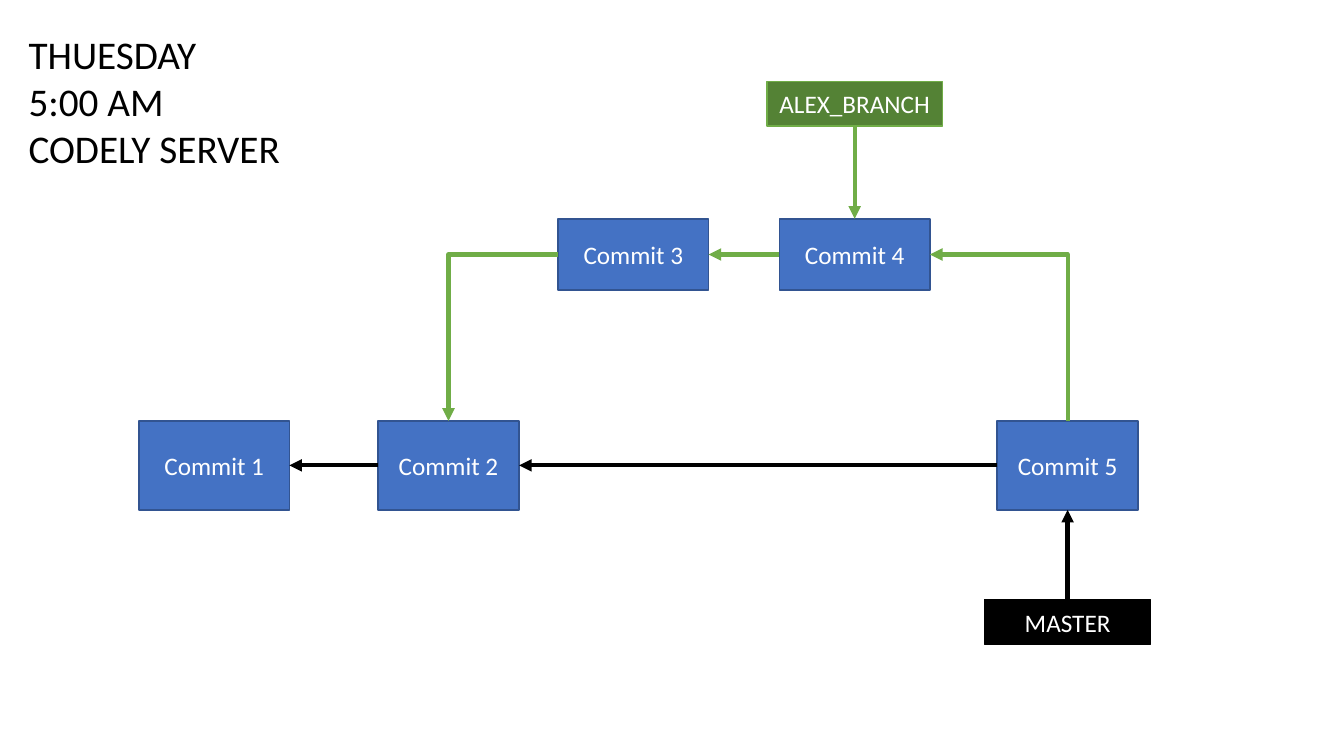
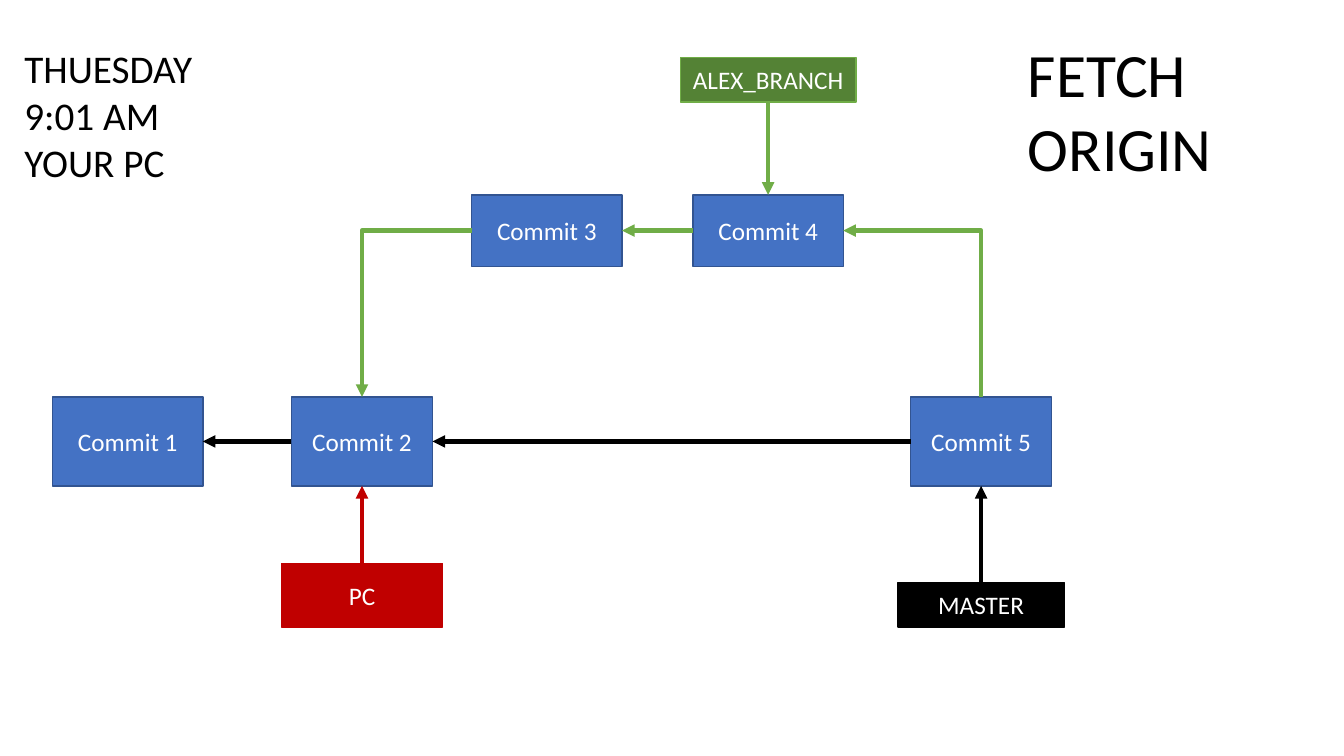
from dataclasses import dataclass
from lxml.etree import SubElement
from pptx import Presentation
from pptx.dml.color import RGBColor as Rgb
from pptx.enum.shapes import MSO_CONNECTOR as Link, MSO_SHAPE as Form
from pptx.enum.text import MSO_ANCHOR as Anchor, MSO_AUTO_SIZE as Fit, PP_ALIGN as Align
from pptx.oxml.ns import qn
from pptx.util import Emu, Pt

COLS, ROWS, CELL = 160, 90, 76200
TOP, LEFT, BOTTOM, RIGHT = range(4)


@dataclass(frozen=True)
class Theme:
    font: str = "Calibri"
    ink: str = "000000"
    paper: str = "FFFFFF"
    blue: str = "4472C4"
    navy: str = "325491"
    green: str = "70AD47"
    moss: str = "548235"
    red: str = "C00000"
    label: int = 18
    head: int = 28
    note: int = 44
    edge: int = 1
    arrow: int = 3


def cells(*sizes):
    return [Emu(round(size * CELL)) for size in sizes]


class Deck:
    def __init__(self, theme):
        self.theme = theme
        self.show = Presentation()
        self.show.slide_width, self.show.slide_height = cells(COLS, ROWS)
        self.slide = None
        self.shift = (0, 0)

    def page(self, shift=(0, 0)):
        self.slide = self.show.slides.add_slide(self.show.slide_layouts[5])
        self.shift = shift

    def label(self, shape, text, size, color, align, anchor):
        frame = shape.text_frame
        frame.text = text
        frame.word_wrap = True
        frame.auto_size = Fit.NONE
        frame.vertical_anchor = anchor
        for para in frame.paragraphs:
            para.alignment = align
            para.line_spacing = 1.0
            para.space_before = Pt(0)
            for run in para.runs:
                run.font.name = self.theme.font
                run.font.size = Pt(size)
                run.font.color.rgb = Rgb.from_string(color)

    def title(self, text, *area):
        shape = self.slide.shapes.title
        shape.left, shape.top, shape.width, shape.height = cells(*area)
        self.label(shape, text, self.theme.head, self.theme.ink, Align.LEFT, Anchor.TOP)

    def note(self, text, *area):
        shape = self.slide.shapes.add_textbox(*cells(*area))
        self.label(shape, text, self.theme.note, self.theme.ink, Align.LEFT, Anchor.TOP)

    def box(self, text, col, row, wide, high, fill, edge):
        left = col + self.shift[0] - wide / 2
        top = row + self.shift[1] - high / 2
        shape = self.slide.shapes.add_shape(Form.RECTANGLE, *cells(left, top, wide, high))
        shape.shadow.inherit = False
        shape.fill.solid()
        shape.fill.fore_color.rgb = Rgb.from_string(fill)
        shape.line.color.rgb = Rgb.from_string(edge)
        shape.line.width = Pt(self.theme.edge)
        self.label(shape, text, self.theme.label, self.theme.paper, Align.CENTER, Anchor.MIDDLE)
        return shape

    def commit(self, num, col, row, wide, high):
        return self.box(f"Commit {num}", col, row, wide, high, self.theme.blue, self.theme.navy)

    def arrow(self, start, out, end, into, color, kind=Link.STRAIGHT, tip="tailEnd"):
        line = self.slide.shapes.add_connector(kind, 0, 0, 0, 0)
        line.begin_connect(start, out)
        line.end_connect(end, into)
        line.line.color.rgb = Rgb.from_string(color)
        line.line.width = Pt(self.theme.arrow)
        props = line._element.spPr
        SubElement(props.find(qn("a:ln")), qn(f"a:{tip}"), type="triangle")
        SubElement(props, qn("a:effectLst"))
        return line

    def elbow(self, *ends, tip="tailEnd"):
        line = self.arrow(*ends, self.theme.green, Link.ELBOW, tip)
        line._element.spPr.find(qn("a:prstGeom")).set("prst", "bentConnector2")

    def graph(self, base):
        hue = self.theme
        main, side = 55.4, 30.3
        one = self.commit(1, 25.5, main, 17.9, 10.6)
        two = self.commit(2, 53.4, main, 16.8, 10.6)
        three = self.commit(3, 75.4, side, 17.9, 8.5)
        four = self.commit(4, 101.75, side, 17.9, 8.5)
        five = self.commit(5, 127.1, main, 16.8, 10.6)
        master = self.box("MASTER", 127.1, base, 19.8, 5.3, hue.ink, hue.ink)
        alex = self.box("ALEX_BRANCH", 101.75, 12.35, 20.9, 5.3, hue.moss, hue.green)
        self.arrow(two, LEFT, one, RIGHT, hue.ink)
        self.arrow(five, LEFT, two, RIGHT, hue.ink)
        self.arrow(master, TOP, five, BOTTOM, hue.ink)
        self.arrow(four, LEFT, three, RIGHT, hue.green)
        self.arrow(alex, BOTTOM, four, TOP, hue.green)
        self.elbow(three, LEFT, two, TOP)
        self.elbow(four, RIGHT, five, TOP, tip="headEnd")
        return two


def main():
    theme = Theme()
    deck = Deck(theme)

    deck.page()
    deck.title("THUESDAY\n5:00 AM\nCODELY SERVER", 2.2, 3, 41.5, 18.1)
    deck.graph(base=74.05)

    deck.page(shift=(-10.3, -2.85))
    deck.title("THUESDAY\n9:01 AM\nYOUR PC", 1.7, 4.7, 52.4, 18.1)
    two = deck.graph(base=74.85)
    deck.note("FETCH ORIGIN", 121.2, 3.7, 36.4, 19)
    local = deck.box("PC", 53.4, 73.7, 19.2, 7.6, theme.red, theme.red)
    deck.arrow(local, TOP, two, BOTTOM, theme.red)

    deck.show.save("out.pptx")


if __name__ == "__main__":
    main()
